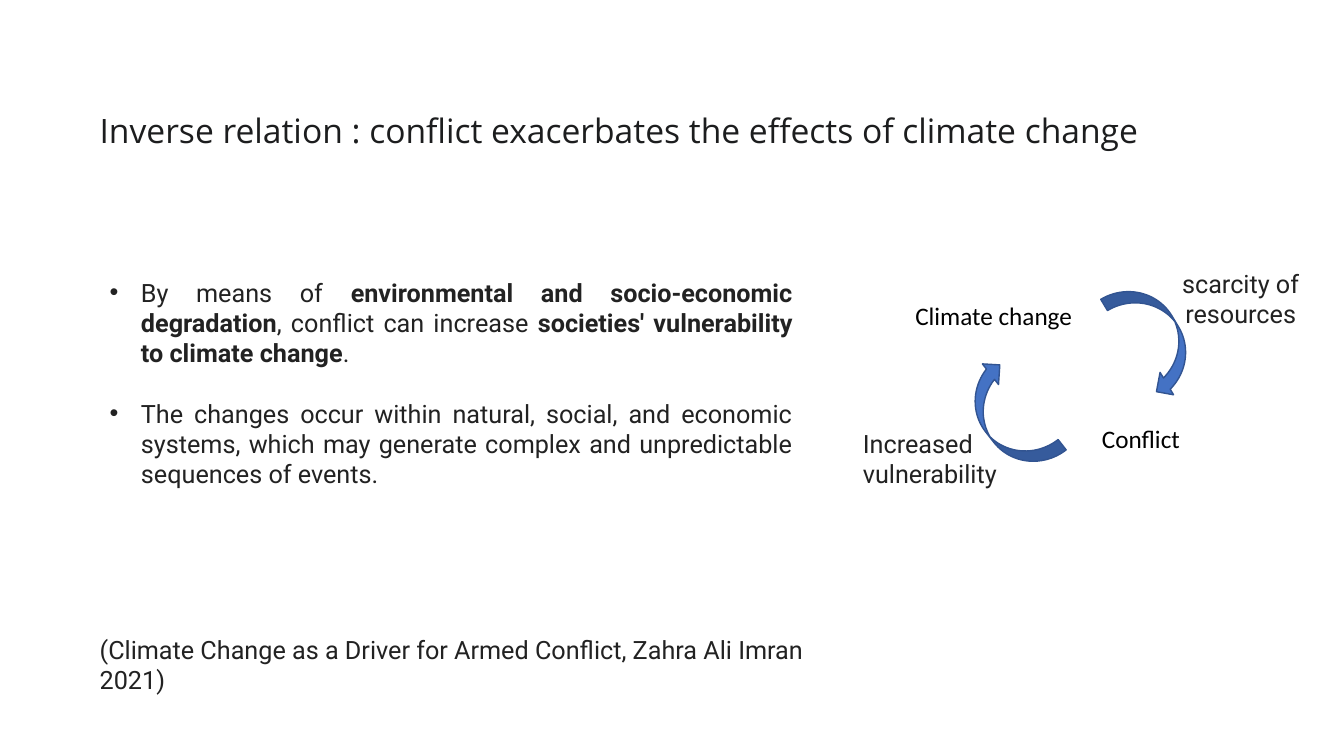
from lxml.etree import SubElement
from pptx import Presentation
from pptx.dml.color import RGBColor
from pptx.enum.shapes import MSO_SHAPE as Shape
from pptx.enum.text import PP_ALIGN as Align
from pptx.oxml.ns import qn
from pptx.util import Pt

PX = 9144  # EMU, 100 px to the inch
COLORS = {"title": "1C1D1E", "body": "222222", "label": "000000",
          "arrow": "4472C4", "arrow_edge": "325491"}


def rgb(name):
    return RGBColor.from_string(COLORS[name])


def emu(*lengths):
    return [length * PX for length in lengths]


def add_bullet(paragraph, indent):
    props = paragraph._p.get_or_add_pPr()
    props.set("marL", str(indent * PX))
    props.set("indent", str(-indent * PX))
    SubElement(props, qn("a:buFont"), typeface="Arial")
    SubElement(props, qn("a:buChar"), char="•")


def add_text(slide, box, paragraphs, font="Roboto", size=18, color="body",
             align=Align.LEFT, bullet_indent=0, gap=0):
    """Each paragraph is a list of runs; every second run is bold."""
    frame = slide.shapes.add_textbox(*emu(*box)).text_frame
    frame.word_wrap = True
    for index, runs in enumerate(paragraphs):
        paragraph = frame.paragraphs[0] if index == 0 else frame.add_paragraph()
        if bullet_indent:
            add_bullet(paragraph, bullet_indent)
        paragraph.alignment = align
        if index:
            paragraph.space_before = Pt(gap)
        for position, words in enumerate(runs):
            run = paragraph.add_run()
            run.text = words
            run.font.name = font
            run.font.size = Pt(size)
            run.font.bold = position % 2 == 1
            run.font.color.rgb = rgb(color)


def add_cycle_arrow(slide, box, rotation):
    arrow = slide.shapes.add_shape(Shape.CURVED_LEFT_ARROW, *emu(*box))
    arrow.rotation = rotation
    arrow.shadow.inherit = False
    arrow.fill.solid()
    arrow.fill.fore_color.rgb = rgb("arrow")
    arrow.line.color.rgb = rgb("arrow_edge")
    arrow.line.width = Pt(1)


def add_argument(slide, left, top, width):
    add_text(slide, (left, top, width, 192), [
        ["By means of ", "environmental and socio-economic degradation",
         ", conflict can increase ",
         "societies' vulnerability to climate change", "."],
        ["The changes occur within natural, social, and economic systems, "
         "which may generate complex and unpredictable sequences of events."],
    ], align=Align.JUSTIFY, bullet_indent=31, gap=21.5)


def add_cycle(slide, left, top):
    """Climate change and conflict, each feeding the other."""
    for x, y, rotation in [(128, 94, 142), (273, 14, 328.9)]:
        add_cycle_arrow(slide, (left + x, top + y, 52, 120), rotation)
    for x, y, width, topic in [(52, 32, 186, "Climate change"),
                               (237, 154, 115, "Conflict")]:
        add_text(slide, (left + x, top + y, width, 40), [[topic]],
                 font="Calibri", color="label")
    for x, y, width, effect, align in [
            (314, 0, 141, "scarcity of resources", Align.CENTER),
            (0, 159, 199, "Increased vulnerability", Align.LEFT)]:
        add_text(slide, (left + x, top + y, width, 71), [[effect]], align=align)


def build_slide(deck):
    slide = deck.slides.add_slide(deck.slide_layouts[6])
    add_argument(slide, 99, 270, 697)
    add_text(slide, (89, 104, 1070, 50),
             [["Inverse relation : conflict exacerbates the effects of climate change"]],
             font="Open Sans", size=24, color="title")
    add_text(slide, (89, 624, 744, 40),
             [["(Climate Change as a Driver for Armed Conflict, Zahra Ali Imran 2021)"]])
    add_cycle(slide, 846, 261)


def main():
    deck = Presentation()
    deck.slide_width, deck.slide_height = emu(1333, 750)
    build_slide(deck)
    deck.save("out.pptx")


if __name__ == "__main__":
    main()
